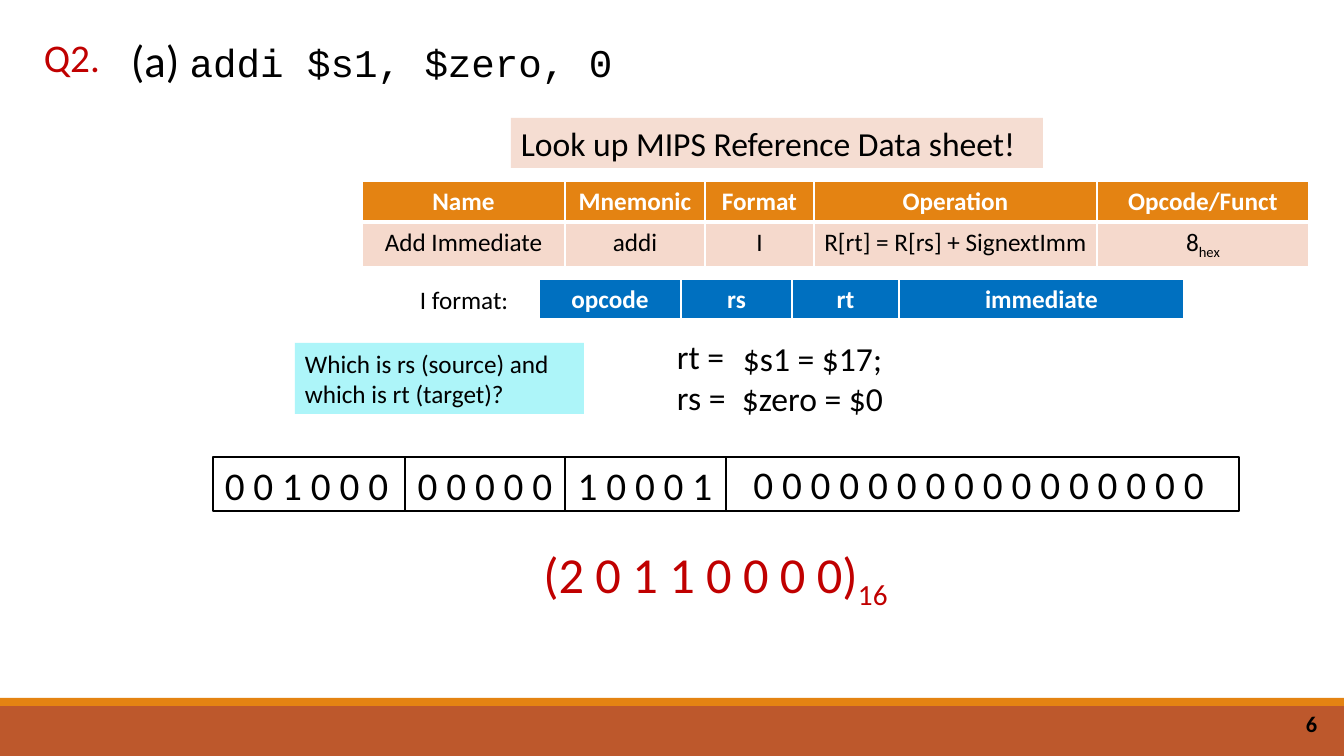
"""Build the slide that encodes an addi instruction in MIPS I format."""
import pptx
import pptx.dml.color
import pptx.enum.shapes
import pptx.enum.text
import pptx.oxml
import pptx.oxml.ns
import pptx.util

PX = 914400 / 100.8
COLORS = {
    "black": "000000", "white": "FFFFFF", "red": "C00000", "orange": "E48312",
    "rust": "BD582C", "peach": "F5DDD2", "row": "F5D9CC", "blue": "0070C0",
    "cyan": "ADF5F9",
}
ALIGN = pptx.enum.text.PP_ALIGN
ANCHOR = pptx.enum.text.MSO_ANCHOR


def rgb(name):
    return pptx.dml.color.RGBColor.from_string(COLORS[name])


def write_text(frame, text, size=18, color="black", bold=False, align=ALIGN.LEFT,
               anchor=ANCHOR.TOP, font="Calibri", subscript=""):
    frame.word_wrap = True
    frame.vertical_anchor = anchor
    paragraph = frame.paragraphs[0]
    paragraph.alignment = align
    for part in filter(None, (text, subscript)):
        run = paragraph.add_run()
        run.text = part
        run.font.name = font
        run.font.size = pptx.util.Pt(size)
        run.font.bold = bold
        run.font.color.rgb = rgb(color)
    if subscript:
        run._r.get_or_add_rPr().set("baseline", "-25000")
    return paragraph


presentation = pptx.Presentation()
presentation.slide_width = round(1344 * PX)
presentation.slide_height = round(756 * PX)
slide = presentation.slides.add_slide(presentation.slide_layouts[6])

filled_boxes = [
    ((0, 706, 1344, 50), "rust", "", 18),
    ((0, 698, 1344, 8), "orange", "", 18),
    ((511, 118, 532, 50), "peach", "Look up MIPS Reference Data sheet!", 24),
    ((295, 343, 289, 71), "cyan", "Which is rs (source) and which is rt (target)?", 18),
]
for box, fill, text, size in filled_boxes:
    shape = slide.shapes.add_shape(
        pptx.enum.shapes.MSO_SHAPE.RECTANGLE, *(round(v * PX) for v in box))
    shape.shadow.inherit = False
    shape.fill.solid()
    shape.fill.fore_color.rgb = rgb(fill)
    shape.line.fill.background()
    if text:
        write_text(shape.text_frame, text, size=size)

tables = [
    ((362, 181), [203, 140, 109, 283, 212], "orange", [
        ["Name", "Mnemonic", "Format", "Operation", "Opcode/Funct"],
        ["Add Immediate", "addi", "I", "R[rt] = R[rs] + SignextImm", "8"]]),
    ((539, 279), [142, 111, 107, 285], "blue", [["opcode", "rs", "rt", "immediate"]]),
]
for (left, top), widths, header_fill, rows in tables:
    table = slide.shapes.add_table(
        len(rows), len(widths), round(left * PX), round(top * PX),
        round(sum(widths) * PX), round(41 * len(rows) * PX)).table
    for column, width in zip(table.columns, widths):
        column.width = round(width * PX)
    for row_index, row in enumerate(rows):
        header = row_index == 0
        for column_index, text in enumerate(row):
            cell = table.cell(row_index, column_index)
            for side in ("lnL", "lnR", "lnT", "lnB"):
                thick = (side == "lnB" and header) or (side == "lnT" and not header)
                border = pptx.oxml.parse_xml(
                    f'<a:{side} {pptx.oxml.ns.nsdecls("a")} w="{38100 if thick else 12700}">'
                    f'<a:solidFill><a:srgbClr val="{COLORS["white"]}"/></a:solidFill></a:{side}>')
                cell._tc.get_or_add_tcPr().append(border)
            cell.fill.solid()
            cell.fill.fore_color.rgb = rgb(header_fill if header else "row")
            write_text(cell.text_frame, text, color="white" if header else "black",
                       bold=header, align=ALIGN.CENTER,
                       subscript="hex" if text == "8" else "")

field_left = 213
for field_width in (192, 160, 161, 513):
    field = slide.shapes.add_shape(
        pptx.enum.shapes.MSO_SHAPE.RECTANGLE, round(field_left * PX), round(457 * PX),
        round(field_width * PX), round(54 * PX))
    field.shadow.inherit = False
    field.fill.background()
    field.line.color.rgb = rgb("black")
    field.line.width = pptx.util.Pt(1.25)
    field_left += field_width

bits = {"size": 28, "align": ALIGN.CENTER}
labels = [
    ((1024, 704, 303, 40), "6",
     {"size": 16, "bold": True, "align": ALIGN.RIGHT, "anchor": ANCHOR.MIDDLE}),
    ((22, 28, 100, 57), "Q2.", {"size": 28, "color": "red", "align": ALIGN.CENTER}),
    ((121, 28, 509, 64), "(a) ", {"size": 32}),
    ((410, 279, 129, 40), "I format:", {}),
    ((667, 331, 76, 50), "rt =", {"size": 24}),
    ((667, 372, 76, 50), "rs =", {"size": 24}),
    ((703, 333, 219, 92), "$s1 = $17; $zero = $0", {"size": 24, "align": ALIGN.CENTER}),
    ((207, 456, 199, 57), "0 0 1 0 0 0", bits),
    ((400, 456, 170, 57), "0 0 0 0 0", bits),
    ((560, 456, 170, 57), "1 0 0 0 1", bits),
    ((730, 455, 497, 57), " ".join("0" * 16), bits),
    ((482, 538, 467, 72), "(2 0 1 1 0 0 0 0)",
     {"size": 36, "color": "red", "align": ALIGN.CENTER, "subscript": "16"}),
]
for box, text, text_format in labels:
    label = slide.shapes.add_textbox(*(round(v * PX) for v in box))
    write_text(label.text_frame, text, **text_format)
    if text == "(a) ":
        write_text(label.text_frame, "addi $s1, $zero, 0", size=28, font="Courier New")

presentation.save("out.pptx")
